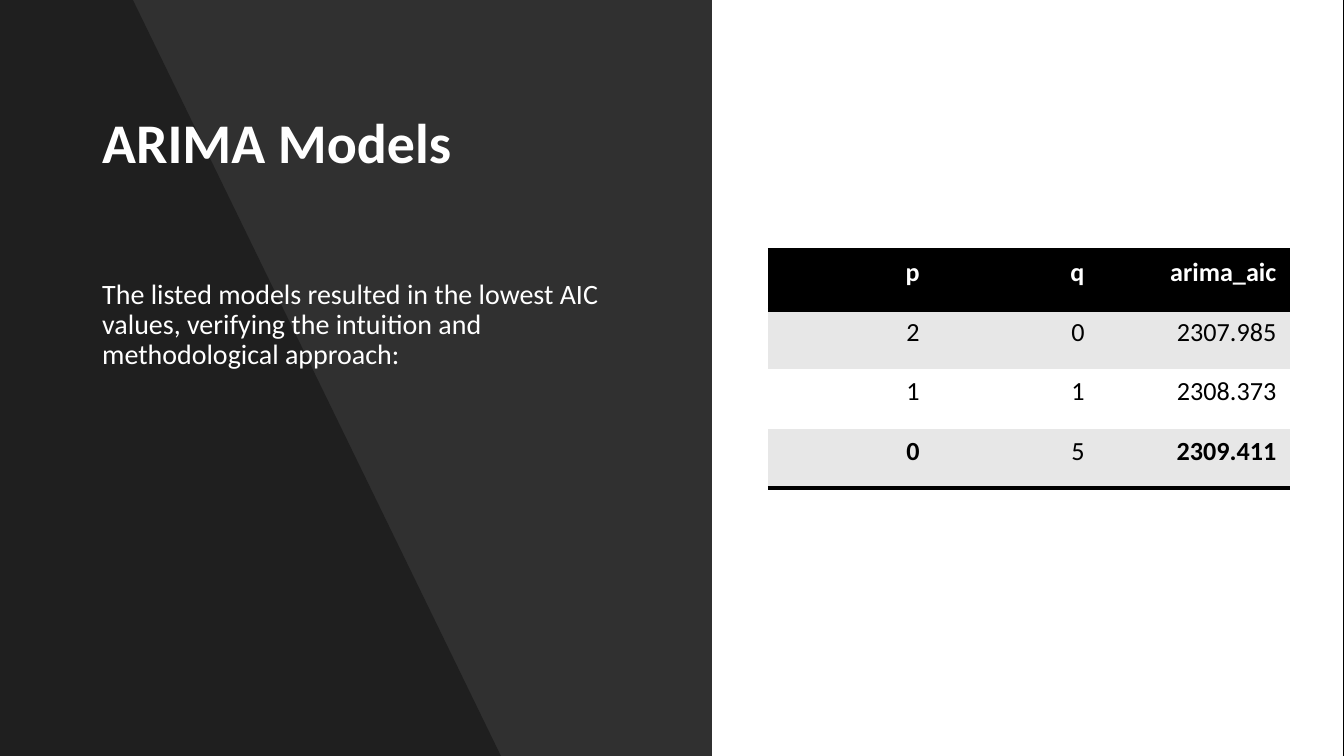
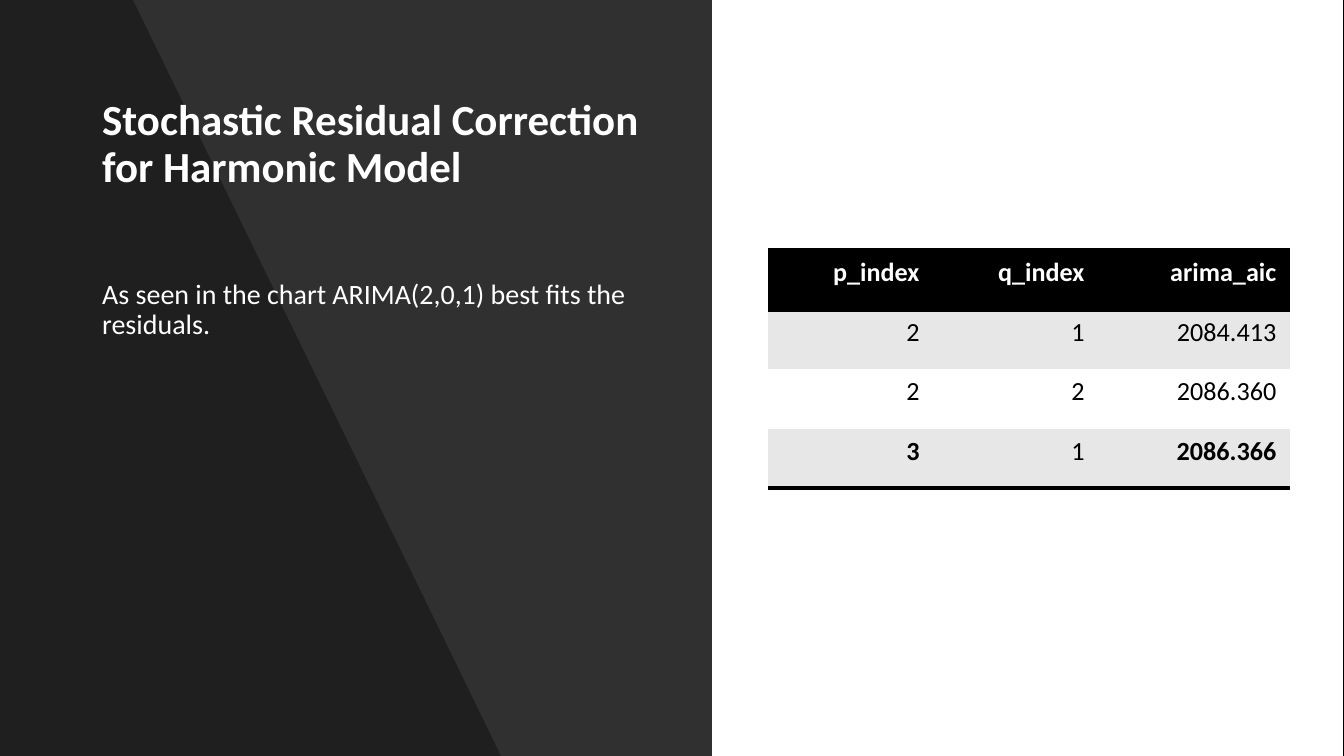
from dataclasses import dataclass

from lxml.etree import SubElement
from pptx import Presentation
from pptx.dml.color import RGBColor
from pptx.enum.shapes import MSO_SHAPE
from pptx.enum.text import MSO_ANCHOR, PP_ALIGN
from pptx.oxml.ns import qn
from pptx.util import Pt


@dataclass(frozen=True)
class Theme:
    font: str = "Calibri"
    dark: RGBColor = RGBColor(0, 0, 0)
    light: RGBColor = RGBColor(255, 255, 255)
    stripe: RGBColor = RGBColor(0xE7, 0xE7, 0xE7)
    body_size: int = 15
    table_size: int = 14
    rule_width: int = 2


theme = Theme()
EMU_PER_PX = 914400 / 134.4
WIDTH, HEIGHT = 1344, 756


def px(*lengths):
    return [round(length * EMU_PER_PX) for length in lengths]


def paint(shape, color, opacity=100):
    shape.shadow.inherit = False
    shape.line.fill.background()
    shape.fill.solid()
    shape.fill.fore_color.rgb = color
    if opacity < 100:
        color_node = shape.fill._xPr.find(".//" + qn("a:srgbClr"))
        SubElement(color_node, qn("a:alpha"), val=str(opacity * 1000))


# Content: title, title size, statement, table rows
pages = [
    ("ARIMA Models", 30,
     "The listed models resulted in the lowest AIC values, verifying the "
     "intuition and methodological approach:",
     [("p", "q", "arima_aic"),
      ("2", "0", "2307.985"),
      ("1", "1", "2308.373"),
      ("0", "5", "2309.411")]),
    ("Stochastic Residual Correction for Harmonic Model", 23,
     "As seen in the chart ARIMA(2,0,1) best fits the residuals.",
     [("p_index", "q_index", "arima_aic"),
      ("2", "1", "2084.413"),
      ("2", "2", "2086.360"),
      ("3", "1", "2086.366")]),
]
column_widths = px(165, 165, 192)
row_heights = px(60, 59, 60, 59)
ruled_edges = (0, 1, 4)

prs = Presentation()
prs.slide_width, prs.slide_height = px(WIDTH, HEIGHT)

for title, title_size, statement, rows in pages:
    slide = prs.slides.add_slide(prs.slide_layouts[6])
    slide.background.fill.solid()
    slide.background.fill.fore_color.rgb = theme.dark

    # White page, dark panel and slanted shade
    for width, color, opacity in ((WIDTH - 1, theme.light, 100),
                                  (712, theme.dark, 81)):
        panel = slide.shapes.add_shape(MSO_SHAPE.RECTANGLE,
                                       *px(0, 0, width, HEIGHT))
        paint(panel, color, opacity)
    outline = slide.shapes.build_freeform(0, 0)
    outline.add_line_segments(
        [px(133, 0), px(501, HEIGHT), px(0, HEIGHT)], close=True)
    paint(outline.convert_to_shape(), theme.dark, 35)

    # Title and statement
    for text, top, height, inset, anchor, size, bold in (
            (title, 71, 148, 7, MSO_ANCHOR.MIDDLE, title_size, True),
            (statement, 234, 415, 46, MSO_ANCHOR.TOP, theme.body_size, False)):
        frame = slide.shapes.add_textbox(*px(89, top, 568, height)).text_frame
        frame.word_wrap = True
        frame.vertical_anchor = anchor
        frame.margin_top = px(inset)[0]
        paragraph = frame.paragraphs[0]
        paragraph.text = text
        paragraph.line_spacing = 0.9
        paragraph.font.name = theme.font
        paragraph.font.size = Pt(size)
        paragraph.font.bold = bold
        paragraph.font.color.rgb = theme.light

    # Model table
    models = slide.shapes.add_table(
        len(rows), len(column_widths), *px(768, 250, 522, 238)).table
    models.horz_banding = False
    for column, width in zip(models.columns, column_widths):
        column.width = width
    for r, values in enumerate(rows):
        models.rows[r].height = row_heights[r]
        is_header, is_last = r == 0, r == len(rows) - 1
        for c, value in enumerate(values):
            cell = models.cell(r, c)
            paragraph = cell.text_frame.paragraphs[0]
            paragraph.text = value
            paragraph.alignment = PP_ALIGN.RIGHT
            paragraph.font.name = theme.font
            paragraph.font.size = Pt(theme.table_size)
            paragraph.font.bold = is_header or (is_last and c != 1)
            paragraph.font.color.rgb = theme.light if is_header else theme.dark

            # Rules above and below the header and under the last row
            properties = cell._tc.get_or_add_tcPr()
            for side, ruled in (("L", False), ("R", False),
                                ("T", r in ruled_edges),
                                ("B", r + 1 in ruled_edges)):
                border = SubElement(properties, qn(f"a:ln{side}"),
                                    w=str(Pt(theme.rule_width) if ruled else 0))
                if ruled:
                    fill = SubElement(border, qn("a:solidFill"))
                    SubElement(fill, qn("a:srgbClr"), val=str(theme.dark))
                else:
                    SubElement(border, qn("a:noFill"))
            cell.fill.solid()
            cell.fill.fore_color.rgb = (
                theme.dark if is_header else
                theme.stripe if r % 2 else theme.light)

prs.save("out.pptx")
